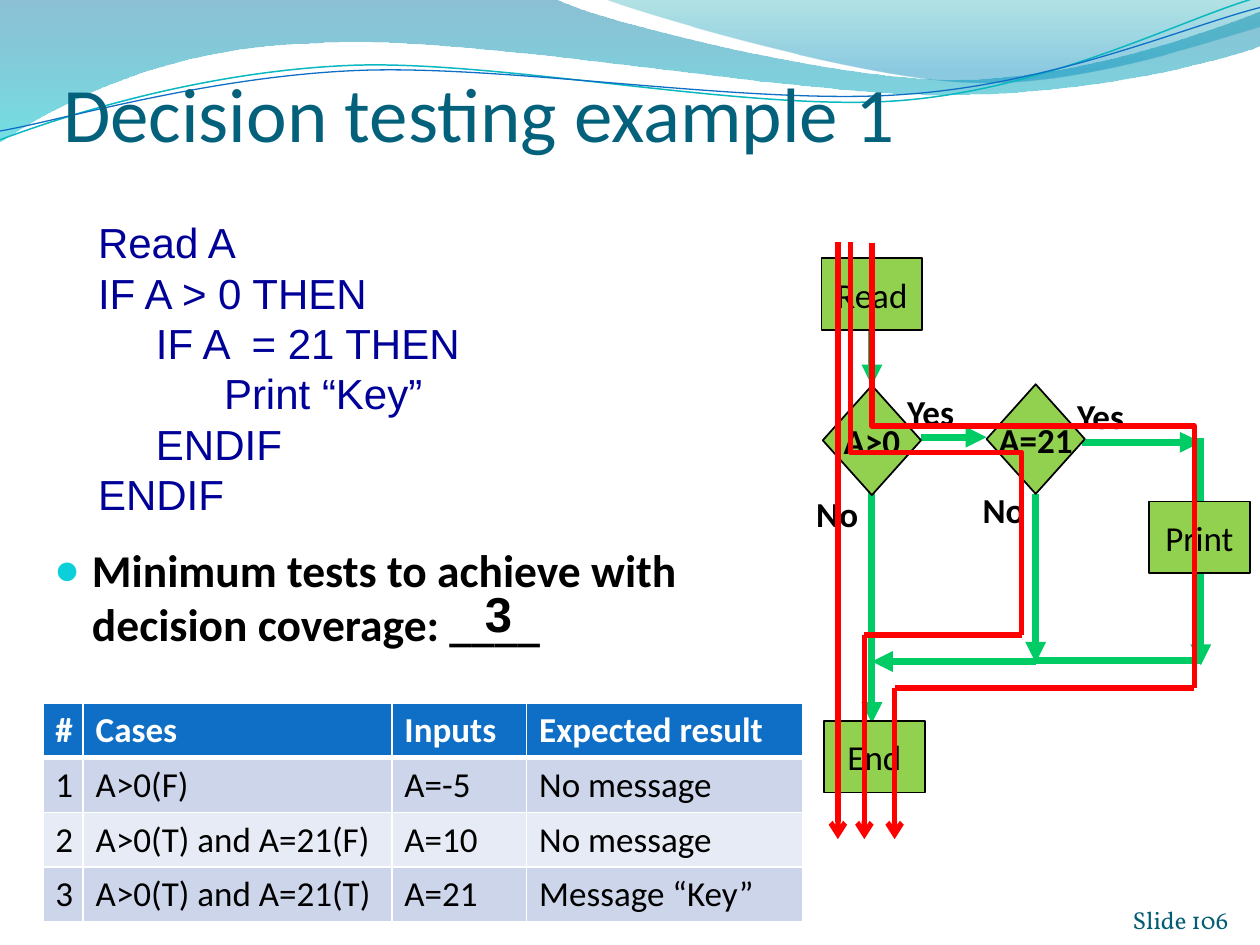
from lxml import etree
from pptx import Presentation
from pptx.dml.color import RGBColor
from pptx.enum.shapes import MSO_CONNECTOR, MSO_SHAPE
from pptx.enum.text import MSO_ANCHOR, PP_ALIGN
from pptx.oxml.ns import qn
from pptx.util import Inches, Pt

LINE, ELBOW = MSO_CONNECTOR.STRAIGHT, MSO_CONNECTOR.ELBOW
RECT, DIAMOND = MSO_SHAPE.RECTANGLE, MSO_SHAPE.DIAMOND
MIDDLE, BOTTOM = MSO_ANCHOR.MIDDLE, MSO_ANCHOR.BOTTOM
LEFT, CENTER, RIGHT = PP_ALIGN.LEFT, PP_ALIGN.CENTER, PP_ALIGN.RIGHT

COLORS = {
    "black": "000000", "white": "FFFFFF", "title": "04617B", "code": "000099",
    "node": "92D050", "flow": "00CC66", "test": "FF0000", "bullet": "0BD0D9",
    "head": "0F6FC6", "odd": "CCD5EA", "even": "E7EBF5", "foot": "045D75",
    "teal": "0AB8BF", "sea": "0074A1", "aqua": "00C6CF", "lake": "00A1A9",
    "sky": "008BBF",
}

TITLE = {"name": "Calibri", "size": Pt(44)}
BODY = {"name": "Calibri", "size": Pt(26), "bold": True}
CODE = {"name": "Arial", "size": Pt(24)}
ANSWER = {"name": "Arial", "size": Pt(28), "bold": True}
PLAIN = {"name": "Calibri", "size": Pt(20), "bold": False}
BOLD = {**PLAIN, "bold": True}
FOOT = {"name": "Vollkorn", "size": Pt(14)}

# Each wave: start point, then one point per line or three per curve
BAND = [(0, 0), [(4.4, -.01)],
        [(4.76, .17), (6.64, .63), (7.58, .63)],
        [(8.53, .63), (9.58, .26), (10, .09)], [(10.01, .36)],
        [(9.83, .44), (8.7, .76), (7.46, .75)],
        [(6.22, .75), (3.82, .28), (2.57, .34)],
        [(1.29, .36), (.46, .83), (-.01, 1.13)]]
CREST = [(4.79, -.01), [(5.09, .11), (6.82, .62), (7.69, .65)],
         [(8.56, .69), (9.61, .32), (10, .21)], [(10, 0)]]
UPPER = [(0, 1.11), [(.48, .93), (1.58, .57), (2.77, .52)],
         [(3.95, .47), (5.93, .89), (7.13, .8)],
         [(8.33, .71), (9.38, .15), (9.98, -.02)]]
LOWER = [(0, 1.04), [(.47, .96), (1.64, .61), (2.83, .56)],
         [(4.03, .51), (5.97, .84), (7.17, .75)],
         [(8.36, .67), (9.41, .21), (10, .06)]]

CASES = [
    ("#", "Cases", "Inputs", "Expected result"),
    ("1", "A>0(F)", "A=-5", "No message"),
    ("2", "A>0(T) and A=21(F)", "A=10", "No message"),
    ("3", "A>0(T) and A=21(T)", "A=21", "Message “Key”"),
]
SOURCE = [("Read A", 0), ("IF A > 0 THEN", 0), ("IF A  = 21 THEN", .46),
          ("Print “Key”", 1), ("ENDIF", .46), ("ENDIF", 0)]


def rgb(name):
    return RGBColor.from_string(COLORS[name])


def sub(node, tag, **attrs):
    return etree.SubElement(node, qn(tag), attrs)


def write(para, text, fmt, color, align=LEFT):
    run = para.add_run()
    run.text = text
    para.alignment = align
    for key, val in fmt.items():
        setattr(run.font, key, val)
    run.font.color.rgb = rgb(color)


def place(shape, *box):
    for key, val in zip(("left", "top", "width", "height"), box):
        setattr(shape, key, Inches(val))


def label(slide, text, box, fmt, color="black"):
    frame = slide.shapes.add_textbox(*map(Inches, box)).text_frame
    frame.word_wrap = False
    write(frame.paragraphs[0], text, fmt, color)


def node(slide, kind, text, box, fmt):
    shape = slide.shapes.add_shape(kind, *map(Inches, box))
    shape.shadow.inherit = False
    shape.fill.solid()
    shape.fill.fore_color.rgb = rgb("node")
    shape.line.color.rgb = rgb("black")
    shape.line.width = Pt(1)
    frame = shape.text_frame
    frame.word_wrap = False
    frame.vertical_anchor = MIDDLE
    write(frame.paragraphs[0], text, fmt, "black", CENTER)


def link(slide, ends, color, width, tip=None, kind=LINE):
    wire = slide.shapes.add_connector(kind, *map(Inches, ends))
    wire.line.color.rgb = rgb(color)
    wire.line.width = Pt(width)
    props = wire._element.spPr
    if tip:
        sub(props.find(qn("a:ln")), "a:tailEnd", type=tip)
    sub(props, "a:effectLst")
    return wire


def bend(slide, x1, y1, x2, y2, cross):
    """Draw a down-across-down line: a quarter-turned, flipped elbow."""
    midx, midy = (x1 + x2) / 2, (y1 + y2) / 2
    dx, dy = (x2 - x1) / 2, (y2 - y1) / 2
    wire = link(slide, (midx + dy, midy - dx, midx - dy, midy + dx),
                "test", 3, kind=ELBOW)
    props = wire._element.spPr
    props.find(qn("a:xfrm")).set("rot", str(270 * 60000))
    geom = props.find(qn("a:prstGeom"))
    guides = geom.find(qn("a:avLst"))
    if guides is None:
        guides = sub(geom, "a:avLst")
    turn = round((cross - y1) / (y2 - y1) * 100000)
    sub(guides, "a:gd", name="adj1", fmla=f"val {turn}")


def ribbon(slide, wave, closed):
    """Build an outline, then join each three-point part into one curve."""
    start, *parts = wave
    dots = [tuple(map(Inches, dot)) for part in parts for dot in part]
    pen = slide.shapes.build_freeform(*map(Inches, start))
    pen.add_line_segments(dots, close=closed)
    shape = pen.convert_to_shape()
    shape.shadow.inherit = False
    steps = iter(list(shape._element.spPr.iter(qn("a:lnTo"))))
    for part in parts:
        first, *rest = [next(steps) for _ in part]
        if rest:
            curve = etree.Element(qn("a:cubicBezTo"))
            first.addprevious(curve)
            for step in (first, *rest):
                curve.append(step[0])
                step.getparent().remove(step)
    return shape


def waves(slide):
    for wave, stops in ((BAND, (("sea", 0, 45), ("aqua", 1, 55))),
                        (CREST, (("lake", 0, 30), ("sky", .8, 45)))):
        shape = ribbon(slide, wave, True)
        shape.line.fill.background()
        shape.fill.gradient()
        shape.fill.gradient_angle = 270
        for stop, (color, pos, _) in zip(shape.fill.gradient_stops, stops):
            stop.color.rgb, stop.position = rgb(color), pos
        tints = shape._element.spPr.iter(qn("a:srgbClr"))
        for tint, (_, _, alpha) in zip(list(tints), stops):
            sub(tint, "a:alpha", val=str(alpha * 1000))
    for wave, color, width in ((UPPER, "teal", .85), (LOWER, "head", .75)):
        shape = ribbon(slide, wave, False)
        shape.fill.background()
        shape.line.color.rgb = rgb(color)
        shape.line.width = Pt(width)


def texts(slide):
    title, body = slide.placeholders
    for holder in (title, body):  # bring above the waves
        slide.shapes.element.append(holder._element)
    place(title, .5, .42, 9.17, .83)
    frame = title.text_frame
    frame.vertical_anchor = BOTTOM
    frame.margin_left = frame.margin_right = frame.margin_bottom = 0
    write(frame.paragraphs[0], "Decision testing example 1", TITLE, "title")

    place(body, .33, 4.25, 5.53, 1.3)
    para = body.text_frame.paragraphs[0]
    write(para, "Minimum tests to achieve with decision coverage: ____",
          BODY, "black")
    para.space_before = Pt(6)
    props = para._p.get_or_add_pPr()
    props.set("marL", str(Inches(.3)))
    props.set("indent", str(-Inches(.3)))
    sub(sub(props, "a:buClr"), "a:srgbClr", val=COLORS["bullet"])
    sub(props, "a:buSzPct", val="95000")
    sub(props, "a:buChar", char="●")

    # Code listing
    frame = slide.shapes.add_textbox(
        *map(Inches, (.68, 1.67, 3.1, 2.52))).text_frame
    frame.word_wrap = False
    for i, (line, indent) in enumerate(SOURCE):
        para = frame.add_paragraph() if i else frame.paragraphs[0]
        write(para, line, CODE, "code")
        para._p.get_or_add_pPr().set("marL", str(Inches(indent)))
    label(slide, "3", (3.75, 4.58, .42, .57), ANSWER)


def chart(slide):
    for *ends, tip in ((9.53, 3.48, 9.53, 5.28, "triangle"),
                       (8.59, 3.51, 9.53, 3.51, "triangle"),
                       (9.53, 5.24, 8.22, 5.24, None),
                       (8.22, 3.92, 8.22, 5.26, "triangle"),
                       (8.22, 5.25, 6.92, 5.25, "triangle"),
                       (7.31, 3.47, 7.83, 3.47, "triangle"),
                       (6.92, 3.84, 6.92, 5.74, "triangle"),
                       (6.92, 2.53, 6.92, 3.06, "triangle")):
        link(slide, ends, "flow", 4, tip)
    for text, x, y in (("Read", 6.52, 2.05), ("Print", 9.12, 3.98),
                       ("End", 6.54, 5.72)):
        node(slide, RECT, text, (x, y, .8, .57), PLAIN)
    for text, x, y in (("A>0", 6.53, 3.06), ("A=21", 7.83, 3.05)):
        node(slide, DIAMOND, text, (x, y, .78, .87), BOLD)
    for text, x, y, wide in (("Yes", 8.45, 3.08, .58), ("Yes", 7.1, 3.05, .58),
                             ("No", 7.7, 3.83, .54), ("No", 6.38, 3.86, .54)):
        label(slide, text, (x, y, wide, .44), BOLD)


def grid(slide):
    table = slide.shapes.add_table(
        4, 4, *map(Inches, (.34, 5.58, 6.03, 1.73))).table
    for col, wide in zip(table.columns, (.32, 2.45, 1.07, 2.19)):
        col.width = Inches(wide)
    for r, row in enumerate(CASES):
        table.rows[r].height = Inches(.41)
        fill = "head" if r == 0 else "odd" if r % 2 else "even"
        fmt, color = (PLAIN, "black") if r else (BOLD, "white")
        for c, text in enumerate(row):
            cell = table.cell(r, c)
            write(cell.text_frame.paragraphs[0], text, fmt, color)
            props = cell._tc.get_or_add_tcPr()
            for side in "LRTB":
                thick = (r, side) in ((0, "B"), (1, "T"))
                edge = sub(props, f"a:ln{side}", w=str(Pt(3 if thick else 1)))
                sub(sub(edge, "a:solidFill"), "a:srgbClr", val=COLORS["white"])
            cell.fill.solid()
            cell.fill.fore_color.rgb = rgb(fill)


def tests(slide):
    link(slide, (6.65, 1.92, 6.65, 6.66), "test", 3, "arrow")
    for x1, y1, x2, y2, cross, out in ((6.92, 1.93, 9.48, 5.46, 3.38, 7.1),
                                       (6.75, 1.92, 8.11, 5.04, 3.59, 6.86)):
        bend(slide, x1, y1, x2, y2, cross)
        link(slide, (x2, y2, out, y2), "test", 3)
        link(slide, (out, y2, out, 6.66), "test", 3, "arrow")


def footer(slide):
    frame = slide.shapes.add_textbox(
        *map(Inches, (8.92, 7.02, .83, .4))).text_frame
    for side in ("left", "right", "top", "bottom"):
        setattr(frame, f"margin_{side}", 0)
    frame.word_wrap = True
    frame.vertical_anchor = BOTTOM
    write(frame.paragraphs[0], "Slide 106", FOOT, "foot", RIGHT)


def main():
    deck = Presentation()
    deck.slide_width, deck.slide_height = Inches(10), Inches(7.5)
    slide = deck.slides.add_slide(deck.slide_layouts[1])
    for part in (waves, texts, chart, grid, tests, footer):
        part(slide)
    deck.save("out.pptx")


if __name__ == "__main__":
    main()
